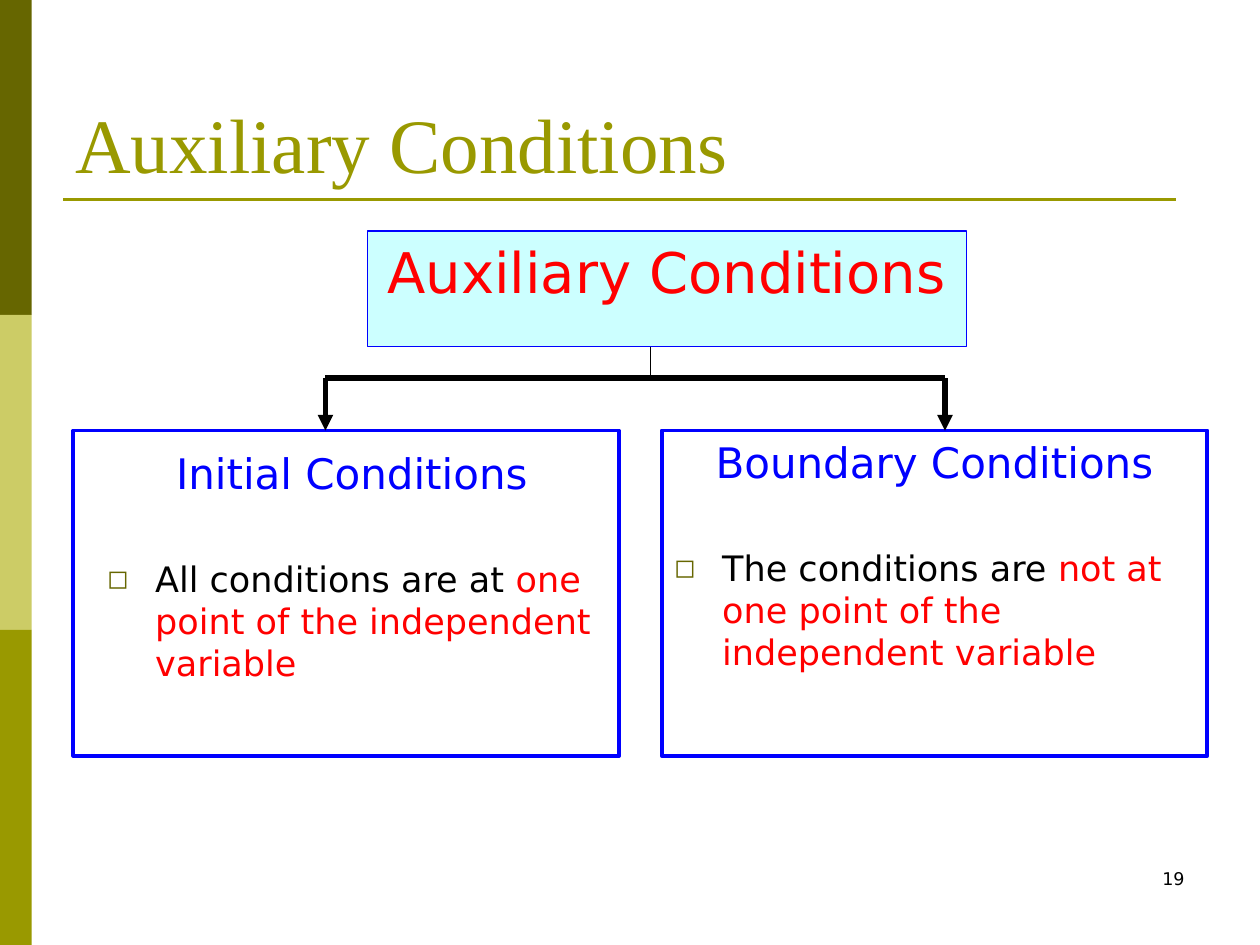
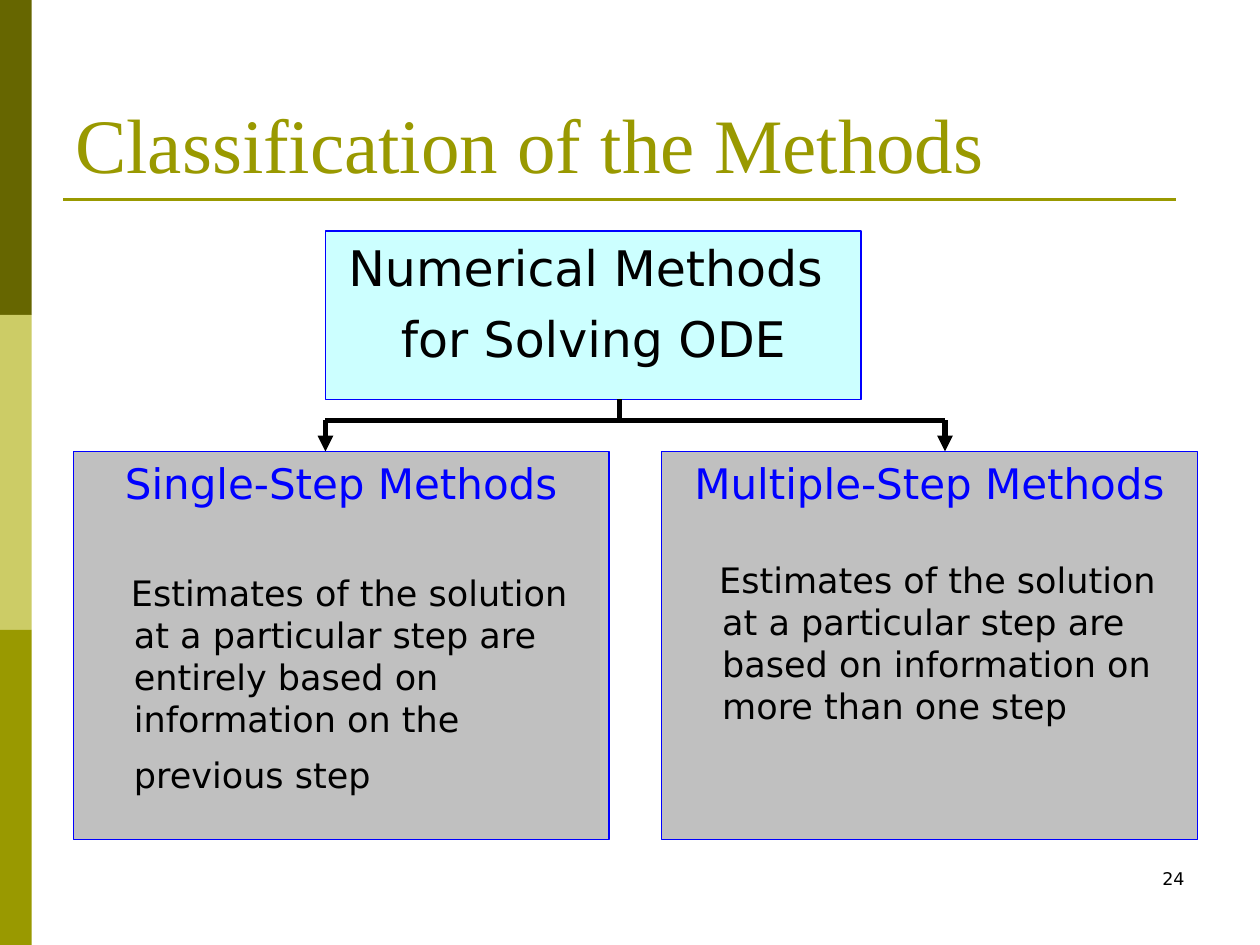
from dataclasses import dataclass
from lxml import etree
from pptx import Presentation
from pptx.dml.color import RGBColor
from pptx.enum.shapes import MSO_CONNECTOR as CONN, MSO_SHAPE as SHAPE
from pptx.enum.text import MSO_ANCHOR as ANCHOR, PP_ALIGN as ALIGN
from pptx.oxml.ns import qn
from pptx.util import Cm, Pt


@dataclass(frozen=True)
class Theme:
    olive: str = "999900"
    dark_olive: str = "666600"
    light_olive: str = "CCCC66"
    blue: str = "0000FF"
    red: str = "FF0000"
    black: str = "000000"
    cyan: str = "CCFFFF"
    grey: str = "C0C0C0"
    sans: str = "DejaVu Sans"
    serif: str = "Times New Roman"
    title: int = 44
    root_large: int = 32
    root: int = 28
    heading: int = 24
    body: int = 20
    number: int = 10
    thin: float = 0.75
    rule: float = 1.5
    frame: float = 2.25
    thick: float = 3


T = Theme()


@dataclass(frozen=True)
class Box:
    """A rectangle in centimetres."""
    x: float
    y: float
    w: float
    h: float

    @property
    def bottom(self):
        return self.y + self.h

    @property
    def emu(self):
        return [Cm(v) for v in (self.x, self.y, self.w, self.h)]


PAGE = Box(0, 0, 25.4, 19.05)
TITLE = Box(1.27, 0.76, 22.86, 3.18)
NUMBER = Box(18.2, 17.36, 5.93, 1.27)
RULE_Y, RULE_ENDS = 4.02, (1.27, 23.71)
BAND_W = 0.64
ROOT_Y = 4.66
BRANCH_X = (1.48, 13.34)
DROP_X = (6.56, 19.05)
HANG = 0.97
MARGINS = (0.25, 0.13, 0.25, 0.13)


def rgb(code):
    return RGBColor.from_string(code)


def apply(obj, values):
    for name, value in values.items():
        setattr(obj, name, value)


def add_text(p, text, size, color, font=T.sans):
    r = p.add_run()
    r.text = text
    apply(r.font, {"size": Pt(size), "name": font})
    r.font.color.rgb = rgb(color)


def set_hanging(p, first):
    pPr = p._p.get_or_add_pPr()
    pPr.set("marL", str(Cm(HANG)))
    pPr.set("indent", str(Cm(first)))
    return pPr


def add_bullet(p):
    pPr = set_hanging(p, -HANG)
    color = etree.SubElement(pPr, qn("a:buClr"))
    etree.SubElement(color, qn("a:srgbClr"), val=T.dark_olive)
    etree.SubElement(pPr, qn("a:buSzPct"), val="75000")
    etree.SubElement(pPr, qn("a:buFont"), typeface=T.sans)
    etree.SubElement(pPr, qn("a:buChar"), char="◻")


def set_frame(tf, margins=MARGINS, anchor=ANCHOR.TOP):
    sides = ("margin_left", "margin_top", "margin_right", "margin_bottom")
    apply(tf, {"word_wrap": True, "vertical_anchor": anchor,
               **{side: Cm(v) for side, v in zip(sides, margins)}})


def add_label(s, box, text, size, color, font=T.sans, align=ALIGN.LEFT, anchor=ANCHOR.TOP):
    tf = s.shapes.add_textbox(*box.emu).text_frame
    set_frame(tf, anchor=anchor)
    p = tf.paragraphs[0]
    p.alignment = align
    add_text(p, text, size, color, font)


def add_panel(s, box, fill=None, line=None, width=T.thin, margins=MARGINS):
    sp = s.shapes.add_shape(SHAPE.RECTANGLE, *box.emu)
    sp.shadow.inherit = False
    if fill:
        sp.fill.solid()
        sp.fill.fore_color.rgb = rgb(fill)
    else:
        sp.fill.background()
    if line:
        sp.line.color.rgb = rgb(line)
        sp.line.width = Pt(width)
    else:
        sp.line.fill.background()
    set_frame(sp.text_frame, margins)
    return sp.text_frame


def add_line(s, x1, y1, x2, y2, width=T.thick, color=T.black, arrow=False):
    c = s.shapes.add_connector(CONN.STRAIGHT, Cm(x1), Cm(y1), Cm(x2), Cm(y2))
    c.line.color.rgb = rgb(color)
    c.line.width = Pt(width)
    if arrow:
        etree.SubElement(c.line._get_or_add_ln(), qn("a:tailEnd"), type="triangle")
    etree.SubElement(c._element.spPr, qn("a:effectLst"))


def add_base(prs, title, number):
    """Add a slide with the bands, rule, title and number that all slides share."""
    s = prs.slides.add_slide(prs.slide_layouts[6])
    h = PAGE.h / 3
    for i, color in enumerate((T.dark_olive, T.light_olive, T.olive)):
        add_panel(s, Box(0, i * h, BAND_W, h), color)
    add_line(s, RULE_ENDS[0], RULE_Y, RULE_ENDS[1], RULE_Y, T.rule, T.olive)
    add_label(s, TITLE, title, T.title, T.olive, T.serif, anchor=ANCHOR.BOTTOM)
    add_label(s, NUMBER, str(number), T.number, T.black, align=ALIGN.RIGHT)
    return s


def add_root(s, box, lines, size, color):
    tf = add_panel(s, box, T.cyan, T.blue)
    for i, text in enumerate(lines):
        p = tf.add_paragraph() if i else tf.paragraphs[0]
        p.alignment = ALIGN.CENTER
        if i:
            p.space_before = Pt(7)
        add_text(p, text, size, color)


def add_branch(s, box, heading, runs, gap, bullet=False, **panel):
    """Add a box with a centred heading and, gap points below, one paragraph of runs."""
    tf = add_panel(s, box, line=T.blue, **panel)
    p = tf.paragraphs[0]
    p.alignment = ALIGN.CENTER
    add_text(p, heading, T.heading, T.blue)
    p = tf.add_paragraph()
    apply(p, {"alignment": ALIGN.LEFT, "space_before": Pt(gap)})
    if bullet:
        add_bullet(p)
    else:
        set_hanging(p, -0.06)
    for text, size, color in runs:
        add_text(p, text, size, color)


def add_fork(s, root, stem_x, bar_y, branch_y, stem_width=T.thick):
    add_line(s, stem_x, root.bottom, stem_x, bar_y, stem_width)
    add_line(s, DROP_X[0], bar_y, DROP_X[1], bar_y)
    for x in DROP_X:
        add_line(s, x, bar_y, x, branch_y, arrow=True)


def conditions_slide(prs):
    s = add_base(prs, "Auxiliary Conditions", 19)
    root, top = Box(7.41, ROOT_Y, 12.07, 2.33), 8.68
    branches = (
        ("Initial Conditions", "All conditions are at ",
         "one point of the independent variable", (0.68, 0.34, 0.45, 0.13)),
        ("Boundary Conditions", "The conditions are ",
         "not at one point of the independent variable", MARGINS),
    )
    for x, (heading, lead, stress, margins) in zip(BRANCH_X, branches):
        runs = ((lead, T.body, T.black), (stress, T.body, T.red))
        add_branch(s, Box(x, top, 11, 6.56), heading, runs, 34, bullet=True,
                   width=T.frame, margins=margins)
    add_root(s, root, ["Auxiliary Conditions"], T.root_large, T.red)
    add_fork(s, root, 13.12, 7.62, top, T.thin)


def methods_slide(prs):
    s = add_base(prs, "Classification of the Methods", 24)
    root, top = Box(6.56, ROOT_Y, 10.8, 3.39), 9.1
    add_root(s, root, ["Numerical Methods ", "for Solving ODE"], T.root, T.black)
    lead = "Estimates of the solution at a particular step are "
    branches = (
        ("Single-Step Methods", 36,
         ((lead + "entirely based on information on the previous step", T.body, T.black),
          (" ", T.root, T.black))),
        ("Multiple-Step Methods", 28.5,
         ((lead + "based on information on more than one step", T.body, T.black),)),
    )
    for x, (heading, gap, runs) in zip(BRANCH_X, branches):
        add_branch(s, Box(x, top, 10.8, 7.83), heading, runs, gap, fill=T.grey)
    add_fork(s, root, 12.49, 8.47, top)


def main():
    prs = Presentation()
    prs.slide_width, prs.slide_height = Cm(PAGE.w), Cm(PAGE.h)
    conditions_slide(prs)
    methods_slide(prs)
    prs.save("out.pptx")


if __name__ == "__main__":
    main()
